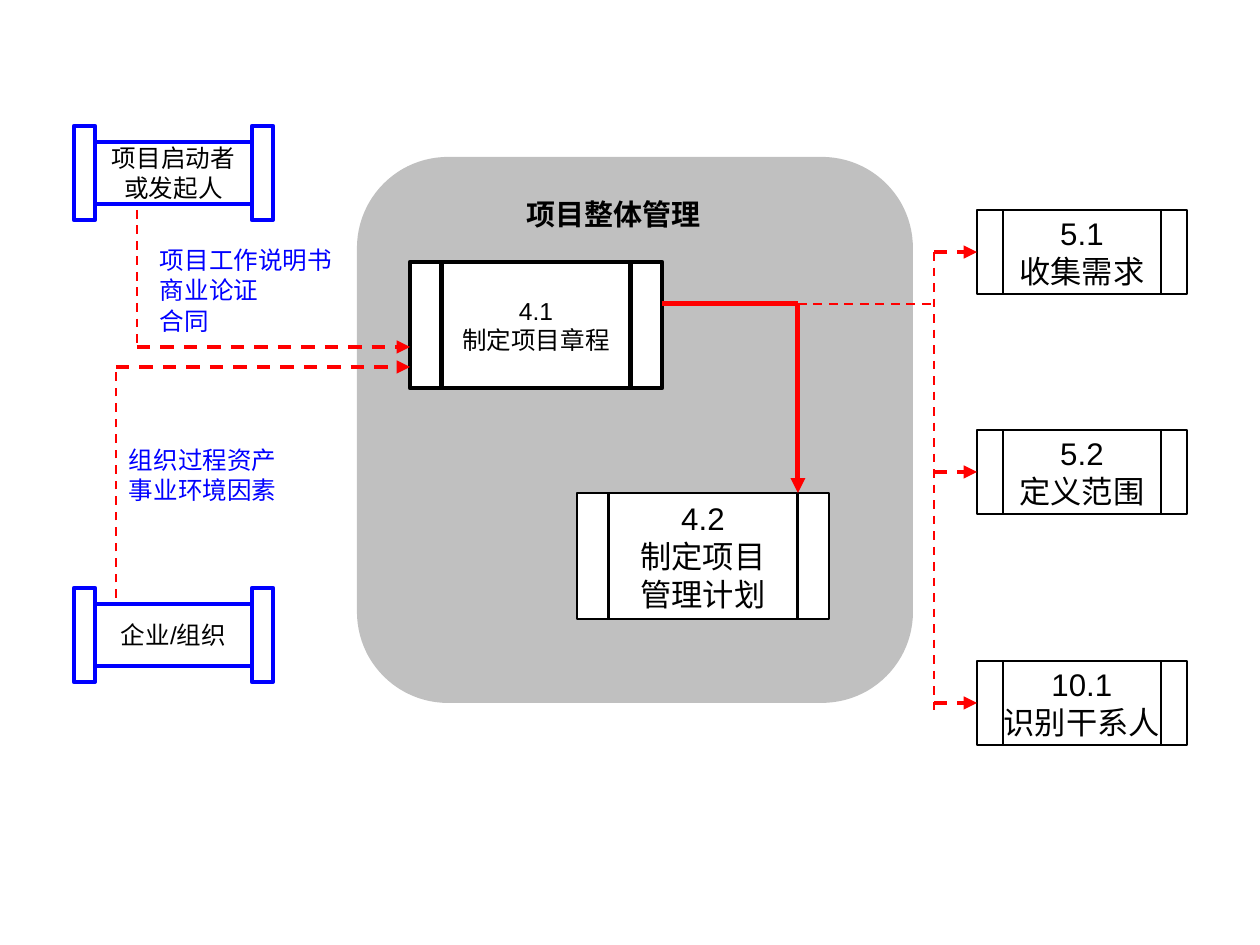
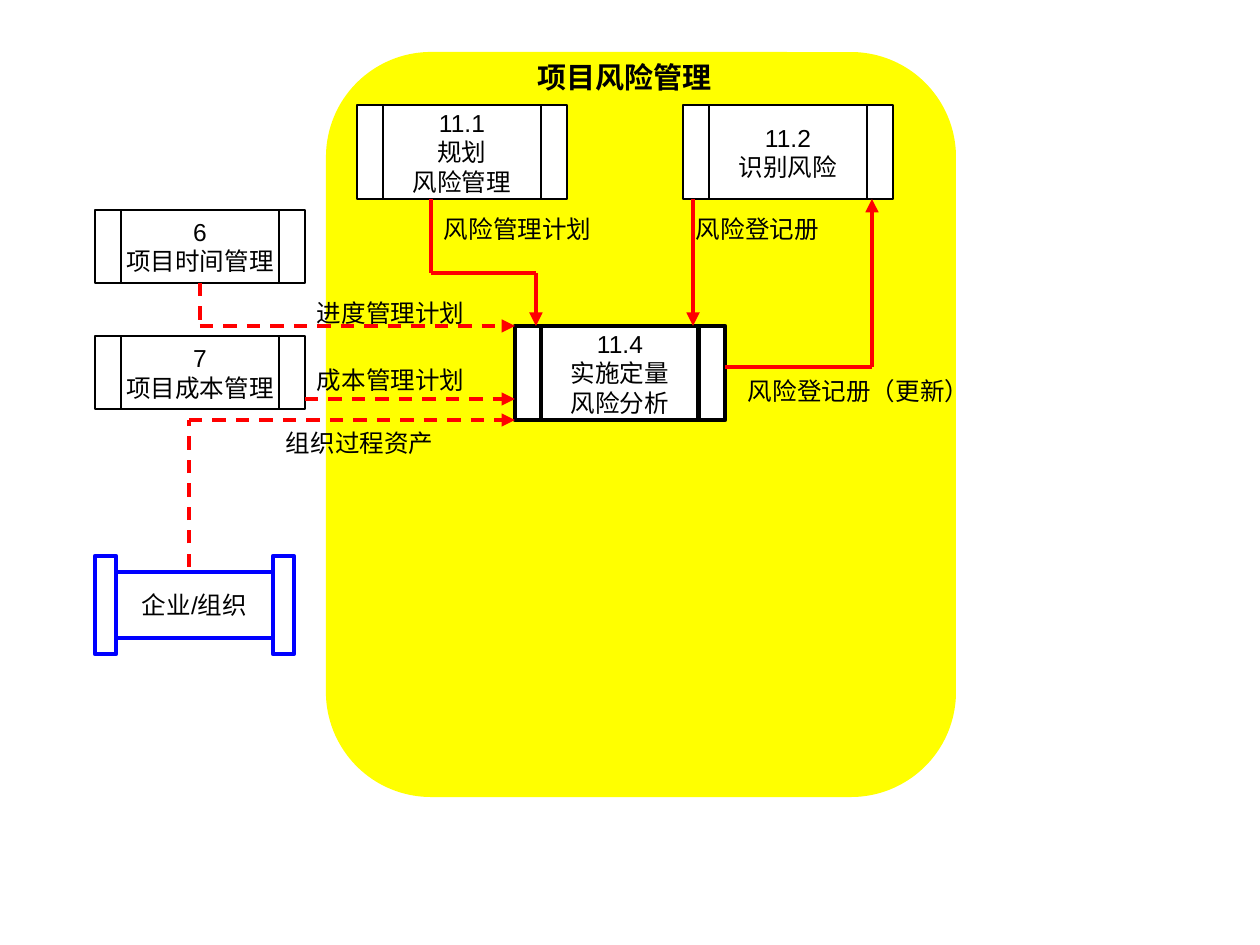
from pptx import Presentation
from pptx.dml.color import RGBColor
from pptx.enum.dml import MSO_LINE
from pptx.enum.shapes import MSO_CONNECTOR, MSO_SHAPE
from pptx.enum.text import MSO_ANCHOR, MSO_AUTO_SIZE, PP_ALIGN
from pptx.oxml.ns import qn
from pptx.util import Emu, Pt
from lxml.etree import SubElement

PX = 5690
FONT = "Arial"
COLORS = {
    "black": "000000",
    "white": "FFFFFF",
    "blue": "0000FF",
    "red": "FF0000",
    "gray": "C0C0C0",
    "yellow": "FFFF00",
}
PILLAR_WIDTH = 21
BAR_INSET = 16
BRANCH_X = 934
SCOPE_X, SCOPE_WIDTH, SCOPE_HEIGHT = 977, 210, 84
scope_steps = [
    (210, "5.1\n收集需求"),
    (430, "5.2\n定义范围"),
    (661, "10.1\n识别干系人"),
]

diagrams = [
    {
        "title": ("项目整体管理", (472, 190, 283, 48)),
        "panel": ("gray", (357, 157, 556, 546)),
        "organizations": [
            ("项目启动者\n或发起人", (74, 126, 199, 94)),
            ("企业/组织", (74, 588, 199, 94)),
        ],
        "processes": [
            ("4.1\n制定项目章程", (410, 262, 252, 126), 11, 2),
            ("4.2\n制定项目\n管理计划", (577, 493, 252, 126), 14, 1),
        ] + [
            (text, (SCOPE_X, y, SCOPE_WIDTH, SCOPE_HEIGHT), 14, 1)
            for y, text in scope_steps
        ],
        "flows": [
            ((137, 210, 137, 347), 1, "dash"),
            ((137, 347, 410, 347), 1.5, "dash arrow"),
            ((116, 598, 116, 367), 1, "dash"),
            ((116, 367, 410, 367), 1.5, "dash arrow"),
            ((662, 304, 798, 304), 2.25, "solid"),
            ((798, 304, 798, 493), 2.25, "solid arrow"),
            ((798, 304, BRANCH_X, 304), 1, "dash"),
            ((BRANCH_X, 252, BRANCH_X, 713), 1, "dash"),
        ] + [
            ((BRANCH_X, y + SCOPE_HEIGHT // 2, SCOPE_X, y + SCOPE_HEIGHT // 2), 1.5, "dash arrow")
            for y, text in scope_steps
        ],
        "labels": [
            ("项目工作说明书\n商业论证\n合同", (147, 252, 283, 88)),
            ("组织过程资产\n事业环境因素", (116, 452, 283, 58)),
        ],
        "label_color": "blue",
    },
    {
        "title": ("项目风险管理", (483, 53, 283, 48)),
        "panel": ("yellow", (326, 52, 630, 745)),
        "organizations": [("企业/组织", (95, 556, 199, 98))],
        "processes": [
            ("11.1\n规划\n风险管理", (357, 105, 210, 94), 11, 1),
            ("11.2\n识别风险", (683, 105, 210, 94), 11, 1),
            ("11.4\n实施定量\n风险分析", (515, 326, 210, 94), 11, 2),
            ("6\n项目时间管理", (95, 210, 210, 73), 11, 1),
            ("7\n项目成本管理", (95, 336, 210, 73), 11, 1),
        ],
        "flows": [
            ((431, 199, 431, 273), 2, "solid"),
            ((431, 273, 536, 273), 2, "solid"),
            ((536, 273, 536, 326), 2, "solid arrow"),
            ((693, 199, 693, 326), 2, "solid arrow"),
            ((725, 367, 872, 367), 2, "solid"),
            ((872, 367, 872, 199), 2, "solid arrow"),
            ((200, 283, 200, 326), 1.5, "dash"),
            ((200, 326, 515, 326), 1.5, "dash arrow"),
            ((305, 399, 515, 399), 1.5, "dash arrow"),
            ((189, 567, 189, 420), 1.5, "dash"),
            ((189, 420, 515, 420), 1.5, "dash arrow"),
        ],
        "labels": [
            ("风险管理计划", (431, 221, 273, 27)),
            ("风险登记册", (683, 221, 273, 27)),
            ("风险登记册（更新）", (735, 383, 273, 27)),
            ("进度管理计划", (304, 305, 178, 27)),
            ("成本管理计划", (304, 372, 178, 27)),
            ("组织过程资产", (273, 435, 178, 27)),
        ],
        "label_color": "black",
    },
]


def add_block(shapes, kind, box, fill, line=None, weight=0):
    block = shapes.add_shape(kind, *[Emu(v * PX) for v in box])
    block.shadow.inherit = False
    block.fill.solid()
    block.fill.fore_color.rgb = RGBColor.from_string(COLORS[fill])
    if line:
        block.line.color.rgb = RGBColor.from_string(COLORS[line])
        block.line.width = Pt(weight)
    else:
        block.line.fill.background()
    return block


def write(frame, text, size, color="black", align=PP_ALIGN.CENTER,
          anchor=MSO_ANCHOR.MIDDLE, wrap=False, bold=False):
    frame.text = text
    frame.word_wrap = wrap
    frame.auto_size = MSO_AUTO_SIZE.NONE
    frame.vertical_anchor = anchor
    frame.margin_left = frame.margin_right = Emu(13 * PX)
    frame.margin_top = frame.margin_bottom = Emu(6 * PX)
    for paragraph in frame.paragraphs:
        paragraph.alignment = align
        for run in paragraph.runs:
            run.font.name = FONT
            run.font.size = Pt(size)
            run.font.bold = bold
            run.font.color.rgb = RGBColor.from_string(COLORS[color])


presentation = Presentation()
presentation.slide_width = Emu(1260 * PX)
presentation.slide_height = Emu(945 * PX)

for diagram in diagrams:
    slide = presentation.slides.add_slide(presentation.slide_layouts[5])
    panel_color, panel_box = diagram["panel"]
    add_block(slide.shapes, MSO_SHAPE.ROUNDED_RECTANGLE, panel_box, panel_color)

    for text, (x, y, width, height) in diagram["organizations"]:
        organization = slide.shapes.add_group_shape()
        bar_box = (x + PILLAR_WIDTH, y + BAR_INSET, width - 2 * PILLAR_WIDTH, height - 2 * BAR_INSET)
        bar = add_block(organization.shapes, MSO_SHAPE.RECTANGLE, bar_box, "white", "blue", 2)
        write(bar.text_frame, text, 11)
        for pillar_x in (x, x + width - PILLAR_WIDTH):
            pillar_box = (pillar_x, y, PILLAR_WIDTH, height)
            add_block(organization.shapes, MSO_SHAPE.RECTANGLE, pillar_box, "white", "blue", 2)

    for text, box, size, weight in diagram["processes"]:
        process = add_block(slide.shapes, MSO_SHAPE.FLOWCHART_PREDEFINED_PROCESS,
                            box, "white", "black", weight)
        write(process.text_frame, text, size)

    for ends, weight, style in diagram["flows"]:
        flow = slide.shapes.add_connector(MSO_CONNECTOR.STRAIGHT, *[Emu(v * PX) for v in ends])
        flow.line.color.rgb = RGBColor.from_string(COLORS["red"])
        flow.line.width = Pt(weight)
        if "dash" in style:
            flow.line.dash_style = MSO_LINE.DASH
        properties = flow.element.spPr
        if "arrow" in style:
            SubElement(properties.find(qn("a:ln")), qn("a:tailEnd"), type="triangle")
        SubElement(properties, qn("a:effectLst"))

    for text, box in diagram["labels"]:
        label = slide.shapes.add_textbox(*[Emu(v * PX) for v in box])
        write(label.text_frame, text, 11, diagram["label_color"], PP_ALIGN.LEFT, MSO_ANCHOR.TOP, True)
        for index, paragraph in enumerate(label.text_frame.paragraphs):
            paragraph.line_spacing = 0.5
            paragraph.space_before = Pt(6.9 if index else 0)

    heading, heading_box = diagram["title"]
    title = slide.shapes.title
    title.left, title.top, title.width, title.height = [Emu(v * PX) for v in heading_box]
    write(title.text_frame, heading, 13, anchor=MSO_ANCHOR.TOP, wrap=True, bold=True)
    title.element.getparent().append(title.element)

presentation.save("out.pptx")
